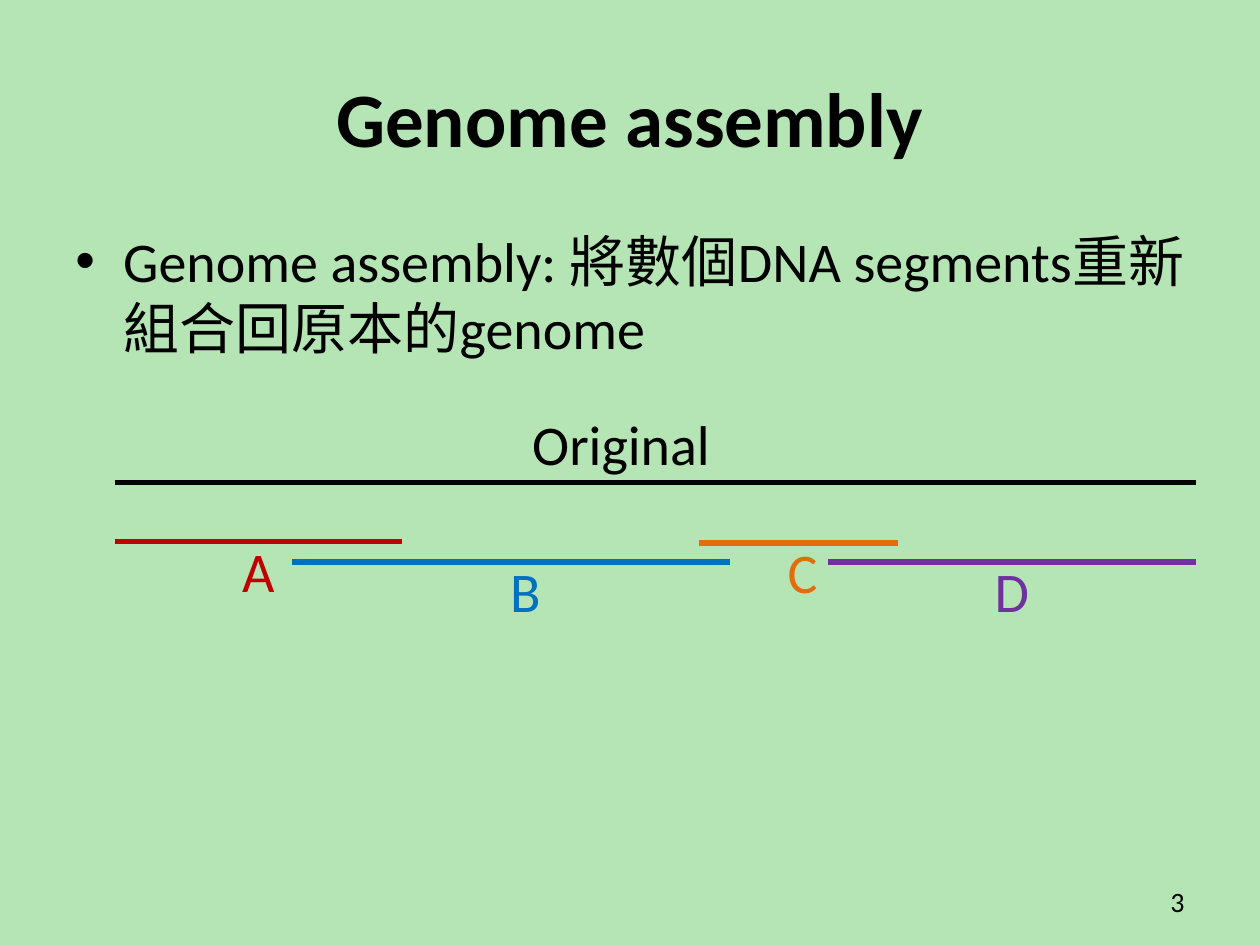
from pptx import Presentation
from pptx.dml.color import RGBColor
from pptx.enum.shapes import MSO_CONNECTOR
from pptx.enum.text import MSO_ANCHOR, PP_ALIGN
from pptx.oxml.ns import qn
from pptx.util import Inches, Pt
from lxml import etree

LEFT, MID, RIGHT = PP_ALIGN.LEFT, PP_ALIGN.CENTER, PP_ALIGN.RIGHT
TOP, MIDDLE = MSO_ANCHOR.TOP, MSO_ANCHOR.MIDDLE
STRAIGHT = MSO_CONNECTOR.STRAIGHT

GREEN = RGBColor(0xB5, 0xE5, 0xB5)
BLACK = RGBColor(0, 0, 0)
RED = RGBColor(0xC0, 0, 0)
BLUE = RGBColor(0, 0x70, 0xC0)
ORANGE = RGBColor(0xE4, 0x6C, 0x0A)
PURPLE = RGBColor(0x70, 0x30, 0xA0)

WIDTH, HEIGHT = 10, 7.5
MARGIN = 0.5
INNER = WIDTH - 2 * MARGIN
TITLE = "Genome assembly"
BODY = "Genome assembly: 將數個DNA segments重新組合回原本的genome"
PAGE = "3"

# Genome strands: name, start, end, height, label centre, label offset, align, colour
START, END = 0.91, 9.49
ABOVE, BELOW = -0.63, -0.09
STRANDS = [
    ("Original", START, END, 3.83, 4.95, ABOVE, LEFT, BLACK),
    ("A", START, 3.19, 4.3, 2.05, BELOW, MID, RED),
    ("B", 2.32, 5.79, 4.46, 4.17, BELOW, MID, BLUE),
    ("C", 5.55, 7.13, 4.31, 6.37, BELOW, MID, ORANGE),
    ("D", 6.57, END, 4.46, 8.03, BELOW, MID, PURPLE),
]
LABEL_W, LABEL_H = 1.65, 0.64


def add_text(slide, text, box, size=32, color=BLACK, align=LEFT,
             anchor=TOP, bold=False, bullet=False):
    frame = slide.shapes.add_textbox(*map(Inches, box)).text_frame
    frame.word_wrap = True
    frame.vertical_anchor = anchor
    frame.text = text
    para = frame.paragraphs[0]
    para.alignment = align
    if bullet:
        props = para._p.get_or_add_pPr()
        props.set("marL", str(Inches(0.38)))
        props.set("indent", str(-Inches(0.38)))
        etree.SubElement(props, qn("a:buFont")).set("typeface", "Arial")
        etree.SubElement(props, qn("a:buChar")).set("char", "•")
    font = para.runs[0].font
    font.name, font.size, font.bold = "Calibri", Pt(size), bold
    font.color.rgb = color


def add_line(slide, start, end, y, color):
    line = slide.shapes.add_connector(
        STRAIGHT, Inches(start), Inches(y), Inches(end), Inches(y))
    line.line.color.rgb = color
    line.line.width = Pt(3)
    etree.SubElement(line._element.spPr, qn("a:effectLst"))


def main():
    deck = Presentation()
    deck.slide_width, deck.slide_height = Inches(WIDTH), Inches(HEIGHT)
    slide = deck.slides.add_slide(deck.slide_layouts[6])
    fill = slide.background.fill
    fill.solid()
    fill.fore_color.rgb = GREEN

    add_text(slide, TITLE, (MARGIN, 0.3, INNER, 1.25), 44,
             align=MID, anchor=MIDDLE, bold=True)
    add_text(slide, BODY, (MARGIN, 1.75, INNER, 4.95), bullet=True)
    page_w = 2.33
    add_text(slide, PAGE, (WIDTH - MARGIN - page_w, 6.95, page_w, 0.4), 16,
             align=RIGHT, anchor=MIDDLE)

    for name, start, end, y, centre, shift, align, color in STRANDS:
        add_line(slide, start, end, y, color)
        box = (centre - LABEL_W / 2, y + shift, LABEL_W, LABEL_H)
        add_text(slide, name, box, color=color, align=align)

    deck.save("out.pptx")


if __name__ == "__main__":
    main()
